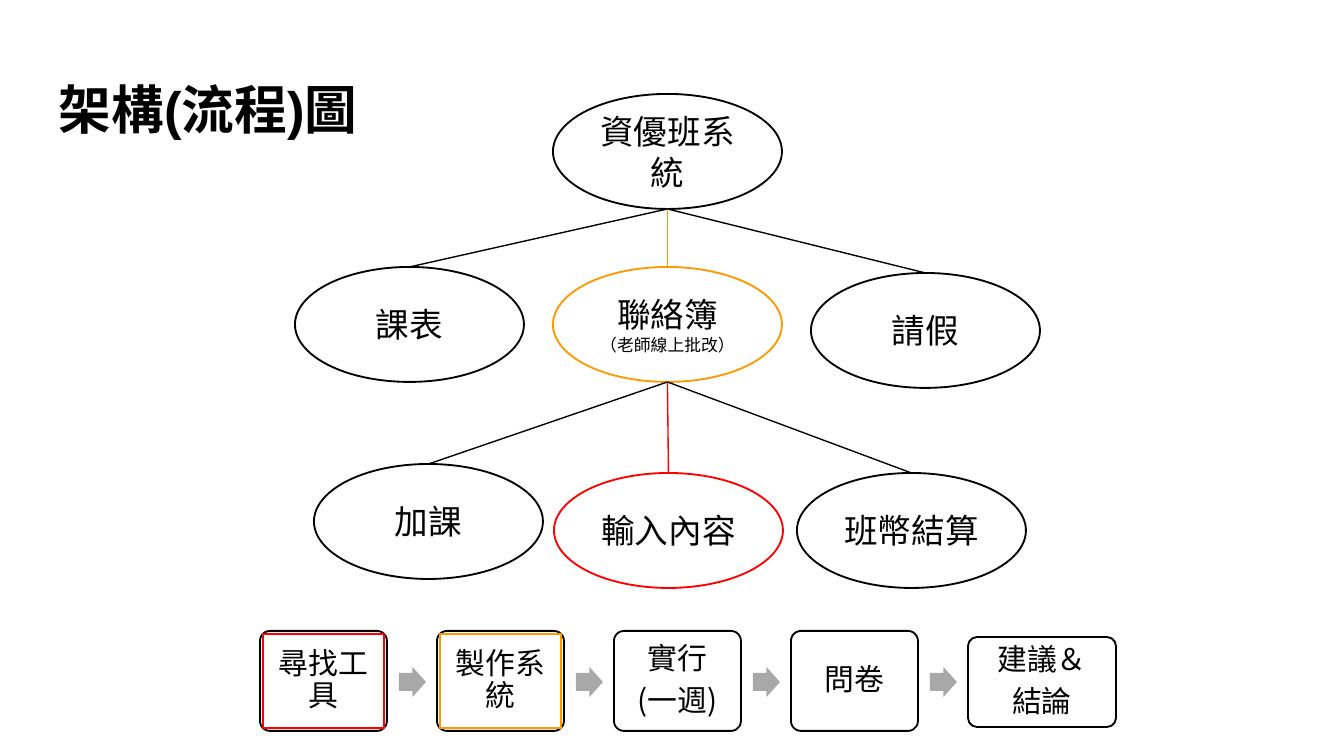
import pptx
import pptx.dml.color
import pptx.enum.shapes
import pptx.enum.text
import pptx.oxml.ns
import pptx.util
from lxml import etree

SCALE = 914400 / 134.4
SHAPES = pptx.enum.shapes.MSO_SHAPE
ALIGN = pptx.enum.text.PP_ALIGN
ANCHOR = pptx.enum.text.MSO_ANCHOR
THEME = {
    "black": "000000", "white": "FFFFFF", "orange": "FF9900",
    "red": "FF0000", "gray": "A8A8A8",
    "title": 28.2, "node": 18, "note": 9, "step": 16,
    "title_font": "Arial", "body_font": "Noto Sans CJK TC",
}


def px(*lengths):
    return [pptx.util.Emu(round(length * SCALE)) for length in lengths]


def write(shape, lines, font_name, margins, align=ALIGN.CENTER, bold=False, spacing=None, gap=0):
    frame = shape.text_frame
    left, top = px(*margins)
    frame_format = {"word_wrap": True, "vertical_anchor": ANCHOR.MIDDLE,
                    "margin_left": left, "margin_right": left,
                    "margin_top": top, "margin_bottom": top}
    for name, value in frame_format.items():
        setattr(frame, name, value)
    for index, (text, size) in enumerate(lines):
        paragraph = frame.add_paragraph() if index else frame.paragraphs[0]
        paragraph_format = {"alignment": align, "line_spacing": spacing,
                            "space_before": pptx.util.Pt(gap if index else 0)}
        for name, value in paragraph_format.items():
            setattr(paragraph, name, value)
        run = paragraph.add_run()
        run.text = text
        font_format = {"name": font_name, "size": pptx.util.Pt(THEME[size]), "bold": bold}
        for name, value in font_format.items():
            setattr(run.font, name, value)
        run.font.color.rgb = pptx.dml.color.RGBColor.from_string(THEME["black"])
        east_asian = etree.SubElement(run.font._element, pptx.oxml.ns.qn("a:ea"))
        east_asian.set("typeface", font_name)


presentation = pptx.Presentation()
presentation.slide_width, presentation.slide_height = px(1344, 756)
slide = presentation.slides.add_slide(presentation.slide_layouts[5])

title = slide.shapes.title
title.left, title.top, title.width, title.height = px(46, 66, 1253, 85)
write(title, [("架構(流程)圖", "title")], THEME["title_font"], (13, 13), ALIGN.LEFT, True)

NODE_WIDTH, NODE_HEIGHT = 229, 115
nodes = {
    "system": (553, 94, "black", [("資優班系統", "node")]),
    "timetable": (295, 267, "black", [("課表", "node")]),
    "contact_book": (553, 267, "orange", [("聯絡簿", "node"), ("（老師線上批改）", "note")]),
    "leave": (811, 273, "black", [("請假", "node")]),
    "extra_class": (314, 464, "black", [("加課", "node")]),
    "entry": (554, 473, "red", [("輸入內容", "node")]),
    "coins": (797, 473, "black", [("班幣結算", "node")]),
}
for left, top, color, lines in nodes.values():
    ellipse = slide.shapes.add_shape(SHAPES.OVAL, *px(left, top, NODE_WIDTH, NODE_HEIGHT))
    ellipse.shadow.inherit = False
    ellipse.fill.solid()
    ellipse.fill.fore_color.rgb = pptx.dml.color.RGBColor.from_string(THEME["white"])
    ellipse.line.color.rgb = pptx.dml.color.RGBColor.from_string(THEME[color])
    ellipse.line.width = pptx.util.Pt(1)
    write(ellipse, lines, THEME["body_font"], (13, 7))

branches = {
    "system": ["timetable", "contact_book", "leave"],
    "contact_book": ["extra_class", "entry", "coins"],
}
for parent, children in branches.items():
    parent_left, parent_top = nodes[parent][:2]
    for child in children:
        child_left, child_top, color = nodes[child][:3]
        connector = slide.shapes.add_connector(
            pptx.enum.shapes.MSO_CONNECTOR.STRAIGHT,
            *px(parent_left + NODE_WIDTH / 2, parent_top + NODE_HEIGHT,
                child_left + NODE_WIDTH / 2, child_top))
        connector.line.color.rgb = pptx.dml.color.RGBColor.from_string(THEME[color])
        connector.line.width = pptx.util.Pt(0.75)
        etree.SubElement(connector._element.spPr, pptx.oxml.ns.qn("a:effectLst"))

STEP_LEFT, STEP_PITCH, INSET = 260, 177, 3
steps = [
    (631, 127, 100, "red", ["尋找工具"]),
    (631, 127, 100, "orange", ["製作系統"]),
    (631, 127, 100, None, ["實行", "(一週)"]),
    (631, 127, 100, None, ["問卷"]),
    (637, 148, 90, None, ["建議＆", "結論"]),
]
for index, (top, width, height, frame_color, texts) in enumerate(steps):
    left = STEP_LEFT + index * STEP_PITCH
    box = slide.shapes.add_shape(SHAPES.ROUNDED_RECTANGLE, *px(left, top, width, height))
    box.adjustments[0] = 0.1
    box.shadow.inherit = False
    box.fill.solid()
    box.fill.fore_color.rgb = pptx.dml.color.RGBColor.from_string(THEME["white"])
    box.line.color.rgb = pptx.dml.color.RGBColor.from_string(THEME["black"])
    box.line.width = pptx.util.Pt(1)

    inner = px(left + INSET, top + INSET, width - 2 * INSET, height - 2 * INSET)
    if frame_color:
        label = slide.shapes.add_shape(SHAPES.RECTANGLE, *inner)
        label.shadow.inherit = False
        label.fill.background()
        label.line.color.rgb = pptx.dml.color.RGBColor.from_string(THEME[frame_color])
        label.line.width = pptx.util.Pt(0.75)
    else:
        label = slide.shapes.add_textbox(*inner)
    write(label, [(text, "step") for text in texts], THEME["body_font"], (9, 9), spacing=0.9, gap=5.6)

    if index < len(steps) - 1:
        arrow = slide.shapes.add_shape(SHAPES.RIGHT_ARROW, *px(left + 139, 667, 27, 30))
        arrow.adjustments[0] = 0.6
        arrow.adjustments[1] = 0.5
        arrow.shadow.inherit = False
        arrow.fill.solid()
        arrow.fill.fore_color.rgb = pptx.dml.color.RGBColor.from_string(THEME["gray"])
        arrow.line.fill.background()

presentation.save("out.pptx")
